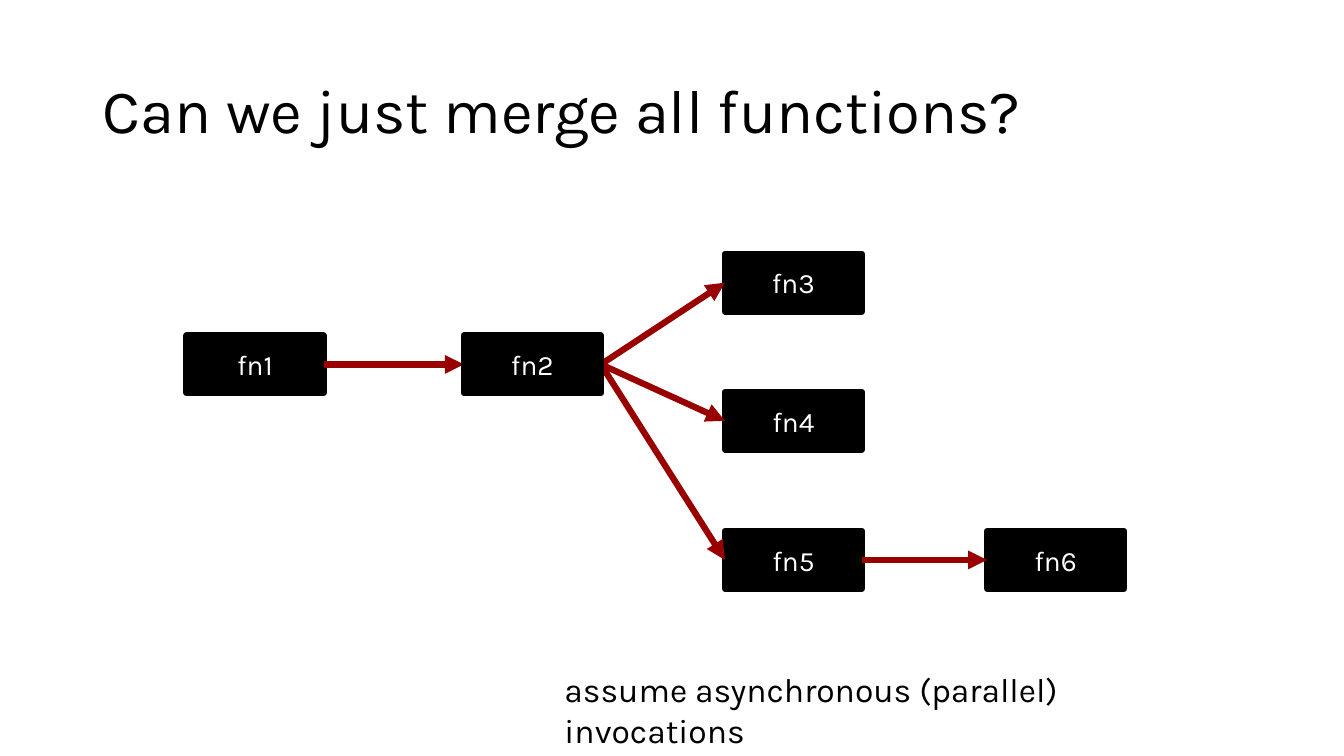
"""Build a slide showing a call graph of six functions."""
from lxml import etree
from pptx import Presentation
from pptx.dml.color import RGBColor
from pptx.enum.shapes import MSO_CONNECTOR, MSO_SHAPE
from pptx.enum.text import MSO_ANCHOR, PP_ALIGN
from pptx.oxml.ns import qn
from pptx.util import Inches, Pt

TITLE = "Can we just merge all functions?"
CAPTION = "assume asynchronous (parallel) invocations"
FUNCTIONS = {
    "fn1": (1.85, 3.33),
    "fn3": (7.19, 2.52),
    "fn4": (7.19, 3.89),
    "fn5": (7.19, 5.27),
    "fn6": (9.79, 5.27),
    "fn2": (4.6, 3.33),
}
CALLS = [("fn1", "fn2"), ("fn2", "fn3"), ("fn2", "fn4"), ("fn2", "fn5"), ("fn5", "fn6")]
FRONT = "fn2"
BOX_SIZE = (1.36, 0.57)
LEFT_SIDE, RIGHT_SIDE = 1, 3
LINE_WIDTH = 4.5
FONT = "Karla"
BLACK, WHITE, RED = "000000", "FFFFFF", "990000"


def color(hex_code):
    return RGBColor.from_string(hex_code)


def write(holder, text, size, hex_code, anchor, align=PP_ALIGN.LEFT):
    frame = holder.text_frame
    frame.word_wrap = True
    frame.vertical_anchor = anchor
    paragraph = frame.paragraphs[0]
    paragraph.alignment = align
    run = paragraph.add_run()
    run.text = text
    run.font.name = FONT
    run.font.size = Pt(size)
    run.font.color.rgb = color(hex_code)
    return paragraph


def add_function(slide, label, position):
    box = slide.shapes.add_shape(MSO_SHAPE.RECTANGLE, *map(Inches, position + BOX_SIZE))
    box.shadow.inherit = False
    box.fill.solid()
    box.fill.fore_color.rgb = color(BLACK)
    box.line.color.rgb = color(BLACK)
    box.line.width = Pt(LINE_WIDTH)
    write(box, label, 20, WHITE, MSO_ANCHOR.MIDDLE, PP_ALIGN.CENTER)
    return box


def add_call(slide, caller, callee):
    arrow = slide.shapes.add_connector(MSO_CONNECTOR.STRAIGHT, 0, 0, 0, 0)
    arrow.begin_connect(caller, RIGHT_SIDE)
    arrow.end_connect(callee, LEFT_SIDE)
    arrow.line.color.rgb = color(RED)
    arrow.line.width = Pt(LINE_WIDTH)
    properties = arrow._element.spPr
    etree.SubElement(properties.find(qn("a:ln")), qn("a:tailEnd"), type="triangle")
    etree.SubElement(properties, qn("a:effectLst"))


def main():
    deck = Presentation()
    deck.slide_width, deck.slide_height = Inches(13.33), Inches(7.5)
    slide = deck.slides.add_slide(deck.slide_layouts[6])

    title = slide.shapes.add_textbox(*map(Inches, (0.92, 0.4, 11.5, 1.45)))
    write(title, TITLE, 44, BLACK, MSO_ANCHOR.MIDDLE).line_spacing = 0.9

    boxes = {label: add_function(slide, label, position) for label, position in FUNCTIONS.items()}
    for caller, callee in CALLS:
        add_call(slide, boxes[caller], boxes[callee])
    slide.shapes._spTree.append(boxes[FRONT]._element)

    caption = slide.shapes.add_textbox(*map(Inches, (5.5, 6.59, 6.58, 0.5)))
    write(caption, CAPTION, 24, BLACK, MSO_ANCHOR.TOP)

    deck.save("out.pptx")


if __name__ == "__main__":
    main()
